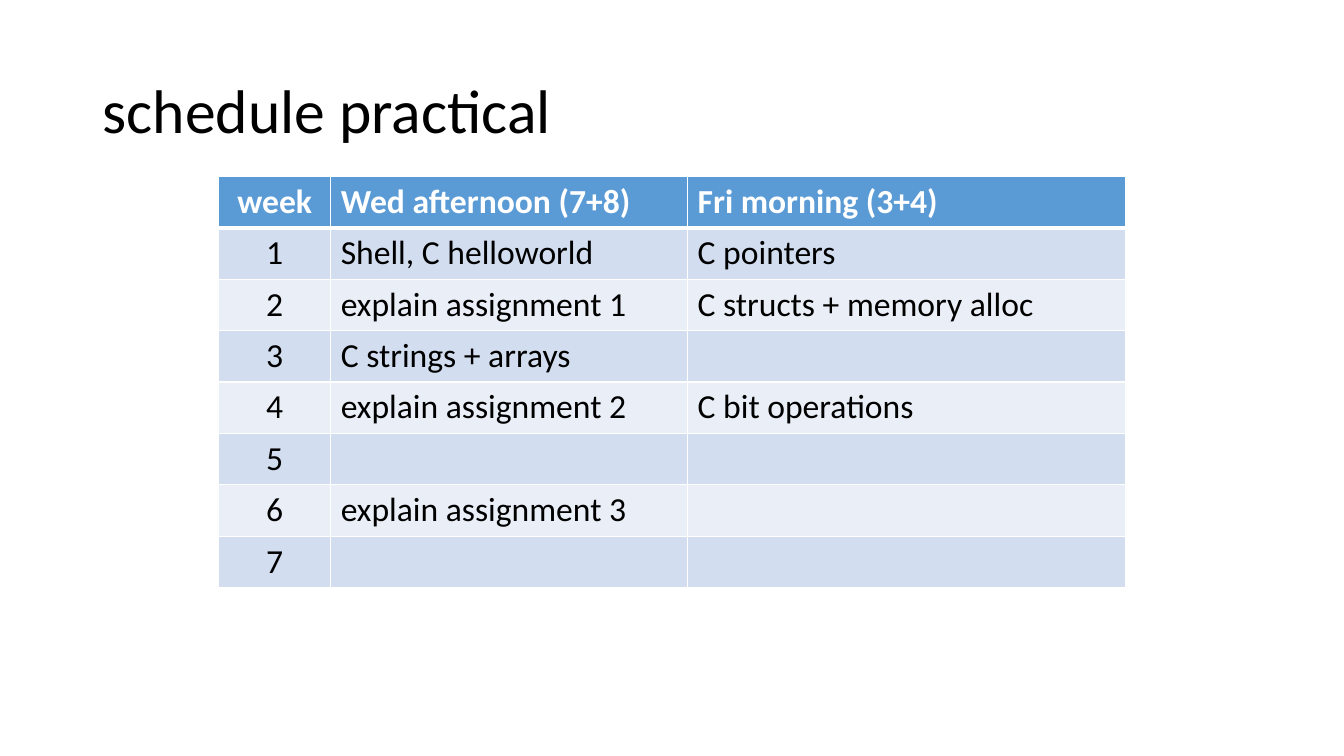
from dataclasses import dataclass

from lxml import etree
from pptx import Presentation
from pptx import util as u
from pptx.dml.color import RGBColor
from pptx.enum import text
from pptx.oxml import ns

PX = 9144  # EMU, 100 px to the inch


@dataclass(frozen=True)
class Theme:
    font: str = "Calibri"
    title_size: int = 44
    cell_size: int = 24
    ink: str = "000000"
    paper: str = "FFFFFF"
    header: str = "5B9BD5"
    bands: tuple[str, str] = ("D2DEEF", "EAEFF7")


@dataclass(frozen=True)
class Column:
    width: int
    align: text.PP_ALIGN


@dataclass(frozen=True)
class Week:
    label: str
    wednesday: str = ""
    friday: str = ""


THEME = Theme()
COLUMNS = (
    Column(111, text.PP_ALIGN.CENTER),
    Column(354, text.PP_ALIGN.LEFT),
    Column(434, text.PP_ALIGN.LEFT),
)
SCHEDULE = (
    Week("week", "Wed afternoon (7+8)", "Fri morning (3+4)"),
    Week("1", "Shell, C helloworld", "C pointers"),
    Week("2", "explain assignment 1", "C structs + memory alloc"),
    Week("3", "C strings + arrays"),
    Week("4", "explain assignment 2", "C bit operations"),
    Week("5"),
    Week("6", "explain assignment 3"),
    Week("7"),
)
TABLE_LEFT, TABLE_TOP, ROW_HEIGHT = 217, 175, 51


def px(*lengths: int) -> list[u.Emu]:
    return [u.Emu(length * PX) for length in lengths]


def write(para, words: str, size: int, colour: str, bold: bool = False) -> None:
    if not words:
        return
    span = para.add_run()
    span.text = words
    for name, value in {"name": THEME.font, "size": u.Pt(size), "bold": bold}.items():
        setattr(span.font, name, value)
    span.font.color.rgb = RGBColor.from_string(colour)


def add_title(page, words: str) -> None:
    frame = page.shapes.add_textbox(*px(92, 40, 1150, 145)).text_frame
    frame.word_wrap = True
    frame.vertical_anchor = text.MSO_ANCHOR.MIDDLE
    para = frame.paragraphs[0]
    para.line_spacing = 0.9
    write(para, words, THEME.title_size, THEME.ink)


def add_borders(cell, widths: dict[str, int]) -> None:
    """Draw the cell's sides, keyed L, R, T and B, in points; call before filling."""
    properties = cell._tc.get_or_add_tcPr()
    for side, width in widths.items():
        line = etree.SubElement(properties, ns.qn(f"a:ln{side}"), w=str(u.Pt(width)))
        fill = etree.SubElement(line, ns.qn("a:solidFill"))
        etree.SubElement(fill, ns.qn("a:srgbClr"), val=THEME.paper)


def add_schedule(page) -> None:
    width = sum(column.width for column in COLUMNS)
    box = px(TABLE_LEFT, TABLE_TOP, width, ROW_HEIGHT * len(SCHEDULE))
    table = page.shapes.add_table(len(SCHEDULE), len(COLUMNS), *box).table
    for grid_column, column in zip(table.columns, COLUMNS):
        grid_column.width = px(column.width)[0]
    for row, week in enumerate(SCHEDULE):
        header = row == 0
        fill = THEME.header if header else THEME.bands[(row - 1) % 2]
        colour = THEME.paper if header else THEME.ink
        sides = {"L": 1, "R": 1, "T": 3 if row == 1 else 1, "B": 3 if header else 1}
        entries = (week.label, week.wednesday, week.friday)
        for index, (column, words) in enumerate(zip(COLUMNS, entries)):
            cell = table.cell(row, index)
            add_borders(cell, sides)
            cell.fill.solid()
            cell.fill.fore_color.rgb = RGBColor.from_string(fill)
            para = cell.text_frame.paragraphs[0]
            para.alignment = column.align
            write(para, words, THEME.cell_size, colour, header)


def main() -> None:
    deck = Presentation()
    deck.slide_width, deck.slide_height = px(1333, 750)
    page = deck.slides.add_slide(deck.slide_layouts[6])
    add_title(page, "schedule practical")
    add_schedule(page)
    deck.save("out.pptx")


if __name__ == "__main__":
    main()
